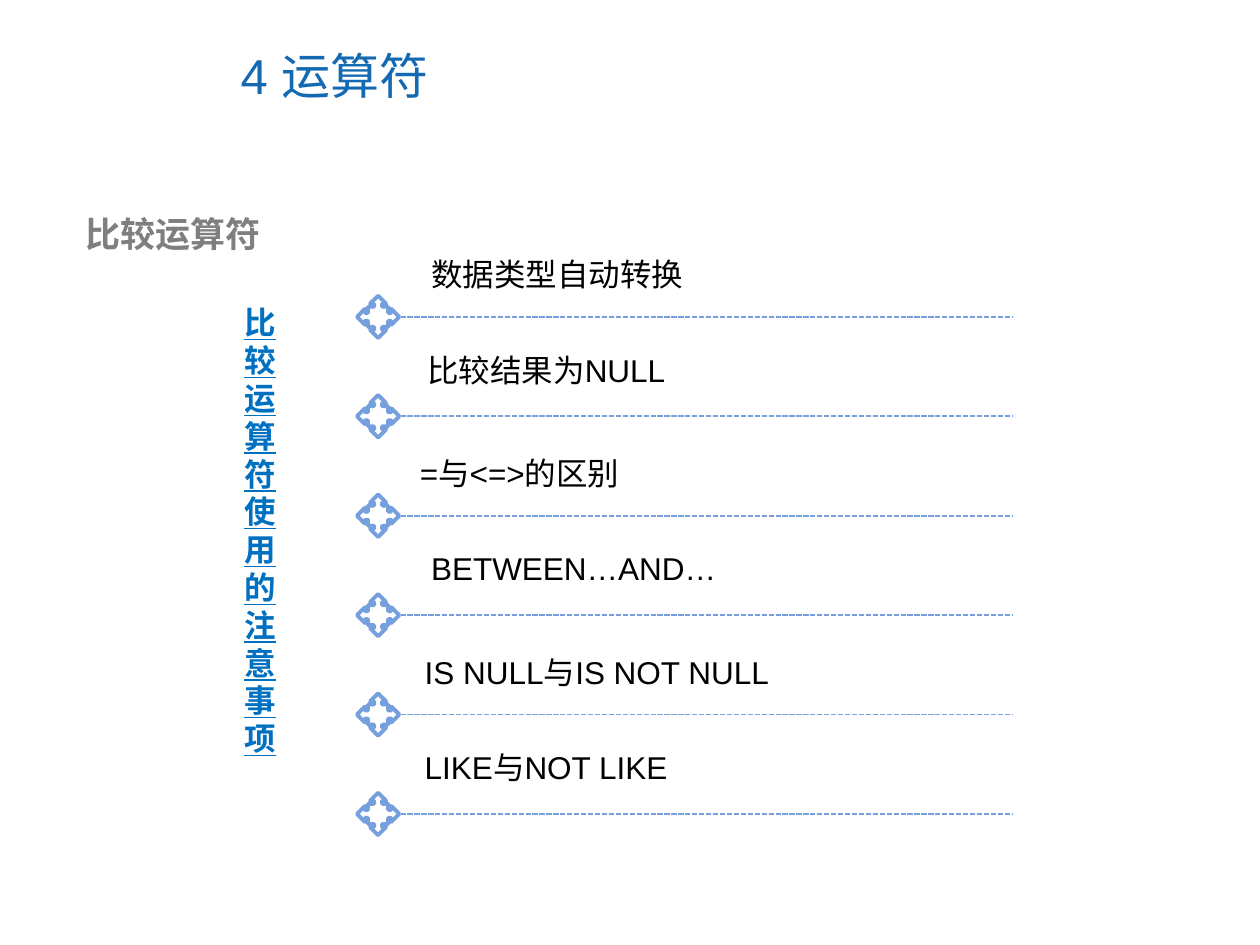
from collections import namedtuple

from lxml import etree
from pptx import Presentation
from pptx import util as u
from pptx.dml.color import RGBColor
from pptx.enum import dml, shapes, text
from pptx.oxml.ns import qn

COLUMNS, ROWS = 100, 75
CELL = u.Inches(10) // COLUMNS

TITLE_BLUE = RGBColor(0x13, 0x69, 0xB2)
TOPIC_GRAY = RGBColor(0x7F, 0x7F, 0x7F)
NOTE_BLUE = RGBColor(0x00, 0x70, 0xC0)
RULE_BLUE = RGBColor(0x75, 0xA0, 0xDD)
BLACK = RGBColor(0, 0, 0)

Box = namedtuple("Box", "left top width height")
Item = namedtuple("Item", "label indent width")

ITEMS = [
    Item("数据类型自动转换", 4.9, 22.5),
    Item("比较结果为NULL", 4.6, 22),
    Item("=与<=>的区别", 4, 20.5),
    Item("BETWEEN…AND…", 4.9, 25.5),
    Item("IS NULL与IS NOT NULL", 4.4, 31),
    Item("LIKE与NOT LIKE", 4.4, 23),
]
ROW_PITCH = 7.89
LABEL_RISES = (5.4, 5.7)
MARKER_RADIUS = 1.68
MARKER_QUARTER = [(-1.68, 0), (-1.05, -0.63), (-1.05, -0.32), (-0.8, -0.32),
                  (-0.8, -0.8), (-0.32, -0.8), (-0.32, -1.05), (-0.63, -1.05)]


def cells(count):
    return u.Emu(round(count * CELL))


def add_run(paragraph, words, size, color, bold=False, underline=False):
    run = paragraph.add_run()
    run.text = words
    font = run.font
    font.name = "Arial"
    font.size = u.Pt(size)
    font.bold = bold
    font.underline = underline
    font.color.rgb = color
    east_asian = etree.SubElement(run._r.get_or_add_rPr(), qn("a:ea"))
    east_asian.set("typeface", "Noto Sans CJK SC")


def add_text(slide, box, words, size, color, inset=1, **style):
    frame = slide.shapes.add_textbox(*map(cells, box)).text_frame
    frame.word_wrap = True
    frame.auto_size = text.MSO_AUTO_SIZE.SHAPE_TO_FIT_TEXT
    frame.margin_left = cells(inset)
    add_run(frame.paragraphs[0], words, size, color, **style)


def place_title(slide, box):
    title = slide.shapes.title
    title.left, title.top, title.width, title.height = map(cells, box)
    frame = title.text_frame
    frame.auto_size = text.MSO_AUTO_SIZE.NONE
    frame.vertical_anchor = text.MSO_ANCHOR.MIDDLE
    heading = frame.paragraphs[0]
    heading.alignment = text.PP_ALIGN.LEFT
    add_run(heading, "4 运算符", 28, TITLE_BLUE)


def add_rule(slide, left, right, y):
    rule = slide.shapes.add_connector(
        shapes.MSO_CONNECTOR.STRAIGHT, *map(cells, (left, y, right, y)))
    rule.line.color.rgb = RULE_BLUE
    rule.line.width = u.Pt(1)
    rule.line.dash_style = dml.MSO_LINE.SQUARE_DOT
    etree.SubElement(rule._element.spPr, qn("a:effectLst"))


def add_marker(slide, center_x, center_y):
    outline, quarter = [], MARKER_QUARTER
    for _ in range(4):
        outline += quarter
        quarter = [(-y, x) for x, y in quarter]
    points = [(cells(center_x + x), cells(center_y + y)) for x, y in outline]
    builder = slide.shapes.build_freeform(*points[0])
    builder.add_line_segments(points[1:], close=True)
    marker = builder.convert_to_shape()
    marker.shadow.inherit = False
    marker.fill.background()
    marker.line.color.rgb = RULE_BLUE
    marker.line.width = u.Pt(2.25)


def place_items(slide, box):
    for row, item in enumerate(ITEMS):
        rule_y = box.top + LABEL_RISES[0] + row * ROW_PITCH
        label_top = rule_y - LABEL_RISES[row % 2]
        add_rule(slide, box.left + 2 * MARKER_RADIUS + 0.1,
                 box.left + box.width, rule_y)
        add_marker(slide, box.left + MARKER_RADIUS, rule_y)
        add_text(slide, Box(box.left + item.indent, label_top, item.width, 4),
                 item.label, 18, BLACK)


def main():
    deck = Presentation()
    deck.slide_width, deck.slide_height = cells(COLUMNS), cells(ROWS)
    slide = deck.slides.add_slide(deck.slide_layouts[5])
    place_title(slide, Box(18.1, 1.7, 51.6, 8.5))
    add_text(slide, Box(4.7, 16.4, 51.4, 7.4), "比较运算符", 20, TOPIC_GRAY,
             inset=2.1, bold=True)
    add_text(slide, Box(18.4, 23.6, 4.3, 37), "比较运算符使用的注意事项", 18,
             NOTE_BLUE, bold=True, underline=True)
    place_items(slide, Box(28.33, 19.75, 52, 46.5))
    deck.save("out.pptx")


if __name__ == "__main__":
    main()
